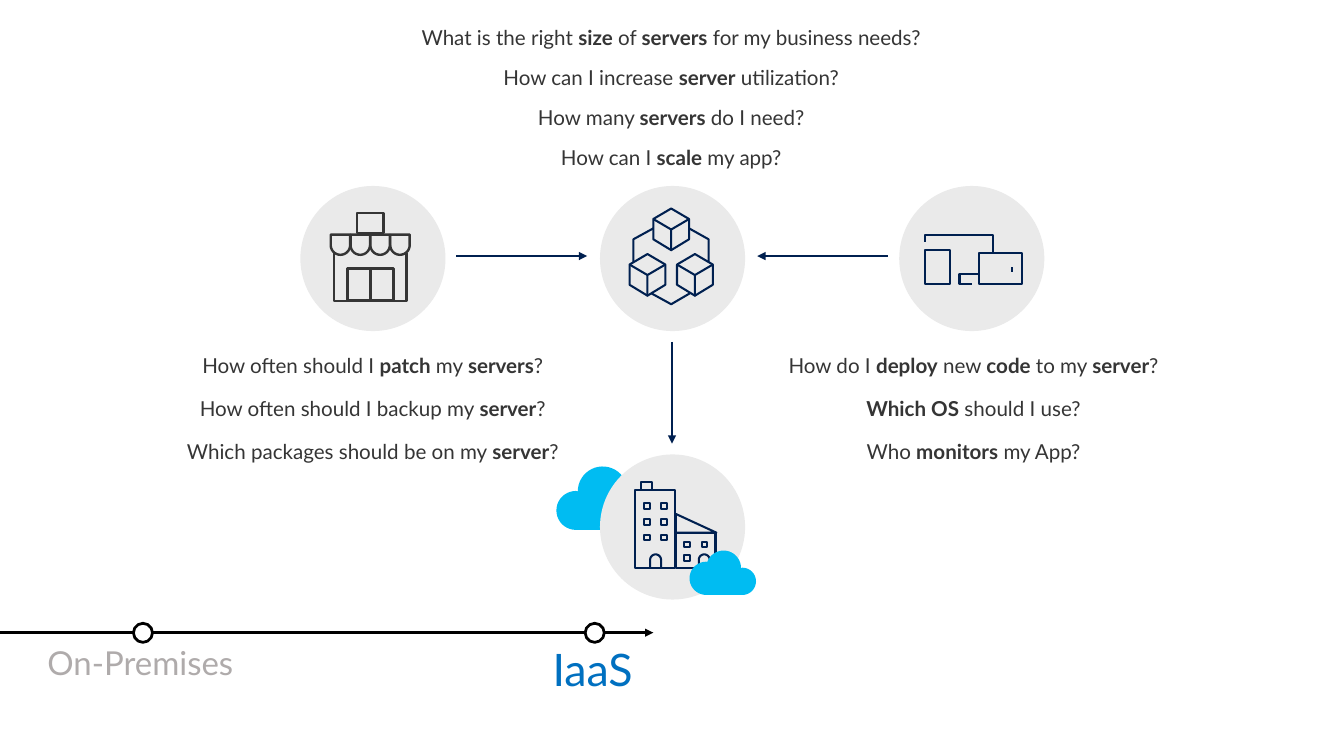
"""Build a slide of the server questions raised when moving from on-premises to IaaS."""
from math import cos, radians, sin

from lxml.etree import SubElement
from pptx import Presentation
from pptx.dml.color import RGBColor
from pptx.enum.shapes import MSO_CONNECTOR, MSO_SHAPE
from pptx.enum.text import MSO_AUTO_SIZE, PP_ALIGN
from pptx.oxml.ns import qn
from pptx.util import Cm, Pt

COLORS = {
    "black": "000000", "white": "FFFFFF", "navy": "002050", "dark": "353535",
    "disc": "EAEAEA", "cloud": "00BCF2", "blue": "0070C0", "grey": "AFABAB",
}
PALETTE = {name: RGBColor.from_string(value) for name, value in COLORS.items()}
OVAL, RECTANGLE = MSO_SHAPE.OVAL, MSO_SHAPE.RECTANGLE

presentation = Presentation()
presentation.slide_width, presentation.slide_height = Cm(34.54), Cm(19.43)
slide = presentation.slides.add_slide(presentation.slide_layouts[6])


def arc(x, y, radius, start, end):
    """Return points along a clockwise or anticlockwise arc, angles in degrees."""
    angles = [radians(start + (end - start) * step / 20) for step in range(21)]
    return [(x + radius * cos(angle), y + radius * sin(angle)) for angle in angles]


def draw(kind, geometry, fill=None, line="navy", width=1.5):
    """Draw a preset shape from its box, or an open or closed outline from its points."""
    if kind in ("open", "closed"):
        points = [(Cm(x), Cm(y)) for x, y in geometry]
        builder = slide.shapes.build_freeform(*points[0])
        builder.add_line_segments(points[1:], close=kind == "closed")
        shape = builder.convert_to_shape()
    else:
        shape = slide.shapes.add_shape(kind, *map(Cm, geometry))
    shape.shadow.inherit = False
    for target, color in ((shape.fill, fill), (shape.line.fill, line)):
        if color:
            target.solid()
            target.fore_color.rgb = PALETTE[color]
        else:
            target.background()
    if line:
        shape.line.width = Pt(width)
    return shape


cloud = arc(1.19, 0.64, 0.64, 180, 340) + arc(1.83, 1.02, 0.61, 270, 450) + arc(0.5, 1.13, 0.5, 90, 270)
draw("closed", [(14.3 + x, 11.99 + y) for x, y in cloud], "cloud", None)

for left, top in [(15.42, 11.68), (15.42, 4.78), (7.72, 4.78), (23.11, 4.78)]:
    draw(OVAL, (left, top, 3.73, 3.73), "disc", None)

arrows = [
    (-0.03, 16.26, 6.63, 16.26, "black", False),
    (-0.03, 16.26, 16.79, 16.26, "black", True),
    (11.73, 6.58, 15.09, 6.58, "navy", True),
    (22.81, 6.58, 19.46, 6.58, "navy", True),
    (17.27, 8.79, 17.27, 11.4, "navy", True),
    (26.01, 6.99, 26.01, 6.86, "navy", False),
]
for *ends, color, pointed in arrows:
    connector = slide.shapes.add_connector(MSO_CONNECTOR.STRAIGHT, *map(Cm, ends))
    connector.line.color.rgb = PALETTE[color]
    connector.line.width = Pt(2)
    properties = connector._element.spPr
    if pointed:
        SubElement(properties.find(qn("a:ln")), qn("a:tailEnd"), type="triangle")
    SubElement(properties, qn("a:effectLst"))

for left in (3.43, 15.04):
    draw(OVAL, (left, 16.02, 0.49, 0.49), "white", "black", 2)

tower_windows = [(x, y) for y in (12.93, 13.34, 13.74) for x in (16.56, 16.99)]
annex_windows = [(17.58, 13.92), (18.03, 13.92), (17.58, 14.27)]
building = [(16.33, 12.6, 1.02, 2.01), (16.48, 12.4, 0.28, 0.2), (17.37, 13.69, 1.02, 0.91)]
devices = [(23.77, 6.43, 0.64, 0.86), (25.15, 6.5, 1.12, 0.79)]
for box in building + devices + [(x, y, 0.15, 0.15) for x, y in tower_windows + annex_windows]:
    draw(RECTANGLE, box)
roof = draw(MSO_SHAPE.ISOSCELES_TRIANGLE, (17.37, 13.21, 1.04, 0.48))
roof.adjustments[0] = 0
for x in (16.85, 18.1):
    draw("open", [(x - 0.14, 14.61), *arc(x, 14.39, 0.14, 180, 360), (x + 0.14, 14.61)])

device_outlines = [
    [(25.15, 7.04), (24.66, 7.04), (24.66, 7.29), (24.97, 7.29)],
    [(23.77, 6.22), (23.77, 6.05), (25.53, 6.05), (25.53, 6.5)],
]
cube_links = [
    [(16.74, 7.54), (17.25, 7.82), (17.73, 7.54)],
    [(17.71, 5.87), (18.21, 6.15), (18.21, 6.73)],
    [(16.28, 6.73), (16.28, 6.15), (16.79, 5.87)],
]
for outline in device_outlines + cube_links:
    draw("open", outline)

cube_sides = [(-0.46, 0.27), (0, 0), (0.46, 0.27), (0.46, 0.79), (0, 1.07), (-0.46, 0.79)]
cube_edges = [(-0.46, 0.27), (0, 0.54), (0, 1.07), (0, 0.54), (0.46, 0.27)]
for left, top in [(17.25, 5.36), (16.64, 6.53), (17.86, 6.53)]:
    for kind, outline in (("closed", cube_sides), ("open", cube_edges)):
        draw(kind, [(left + x, top + y) for x, y in outline])

for box in [(9.18, 5.48, 0.68, 0.51), (8.93, 6.9, 0.59, 0.83), (9.52, 6.9, 0.59, 0.83)]:
    draw(RECTANGLE, box, None, "dark", 1.75)
draw("open", [(8.58, 6.5), (8.58, 7.73), (10.45, 7.73), (10.45, 6.5)], None, "dark", 1.75)
for index in range(4):
    x = 8.75 + 0.51 * index
    scallop = [(x - 0.25, 6.03), *arc(x, 6.3, 0.25, 180, 0), (x + 0.25, 6.03)]
    draw("closed", scallop, None, "dark", 1.75)

draw("closed", [(19.43 - 0.7 * x, 14.15 + 0.7 * y) for x, y in cloud], "cloud", None)

label_frame = {
    "word_wrap": False, "margin_left": Cm(0.51), "margin_right": Cm(0.51),
    "margin_top": Cm(0.41), "margin_bottom": Cm(0.41),
}
label_paragraph = {"line_spacing": 0.9, "space_after": Pt(6), "alignment": PP_ALIGN.LEFT}
question_style = ({"word_wrap": True}, {"alignment": PP_ALIGN.CENTER}, 15, "dark")

texts = [
    ("IaaS", 13.69, 16.23, 3.18, 2.11, (label_frame, label_paragraph, 32.6, "blue")),
    ("On-Premises", 0.71, 16.23, 5.92, 1.75, (label_frame, label_paragraph, 24, "grey")),
]
question_columns = [
    (17.25, 0.51, 1.03, [
        ("What is the right *size* of *servers* for my business needs?", 15.82),
        ("How can I increase *server* utilization?", 9.3),
        ("How many *servers* do I need?", 10.72),
        ("How can I *scale* my app?", 6.38),
    ]),
    (9.58, 8.94, 1.11, [
        ("How often should I *patch* my *servers*?", 10.59),
        ("How often should I backup my *server*?", 9.83),
        ("Which packages should be on my *server*?", 11.13),
    ]),
    (25.02, 8.94, 1.11, [
        ("How do I *deploy* new *code* to my *server*?", 13.74),
        ("*Which OS* should I use?", 7.04),
        ("Who *monitors* my App?", 11.61),
    ]),
]
for center, top, pitch, questions in question_columns:
    for index, (question, width) in enumerate(questions):
        texts.append((question, center - width / 2, top + pitch * index, width, 0.91, question_style))

for text, left, top, width, height, style in texts:
    frame_format, paragraph_format, size, color = style
    frame = slide.shapes.add_textbox(Cm(left), Cm(top), Cm(width), Cm(height)).text_frame
    frame.auto_size = MSO_AUTO_SIZE.SHAPE_TO_FIT_TEXT
    paragraph = frame.paragraphs[0]
    for target, values in ((frame, frame_format), (paragraph, paragraph_format)):
        for name, value in values.items():
            setattr(target, name, value)
    for index, part in enumerate(text.split("*")):
        if part:
            run = paragraph.add_run()
            run.text = part
            for name, value in {"name": "Lato", "size": Pt(size), "bold": index % 2 == 1}.items():
                setattr(run.font, name, value)
            run.font.color.rgb = PALETTE[color]

presentation.save("out.pptx")
